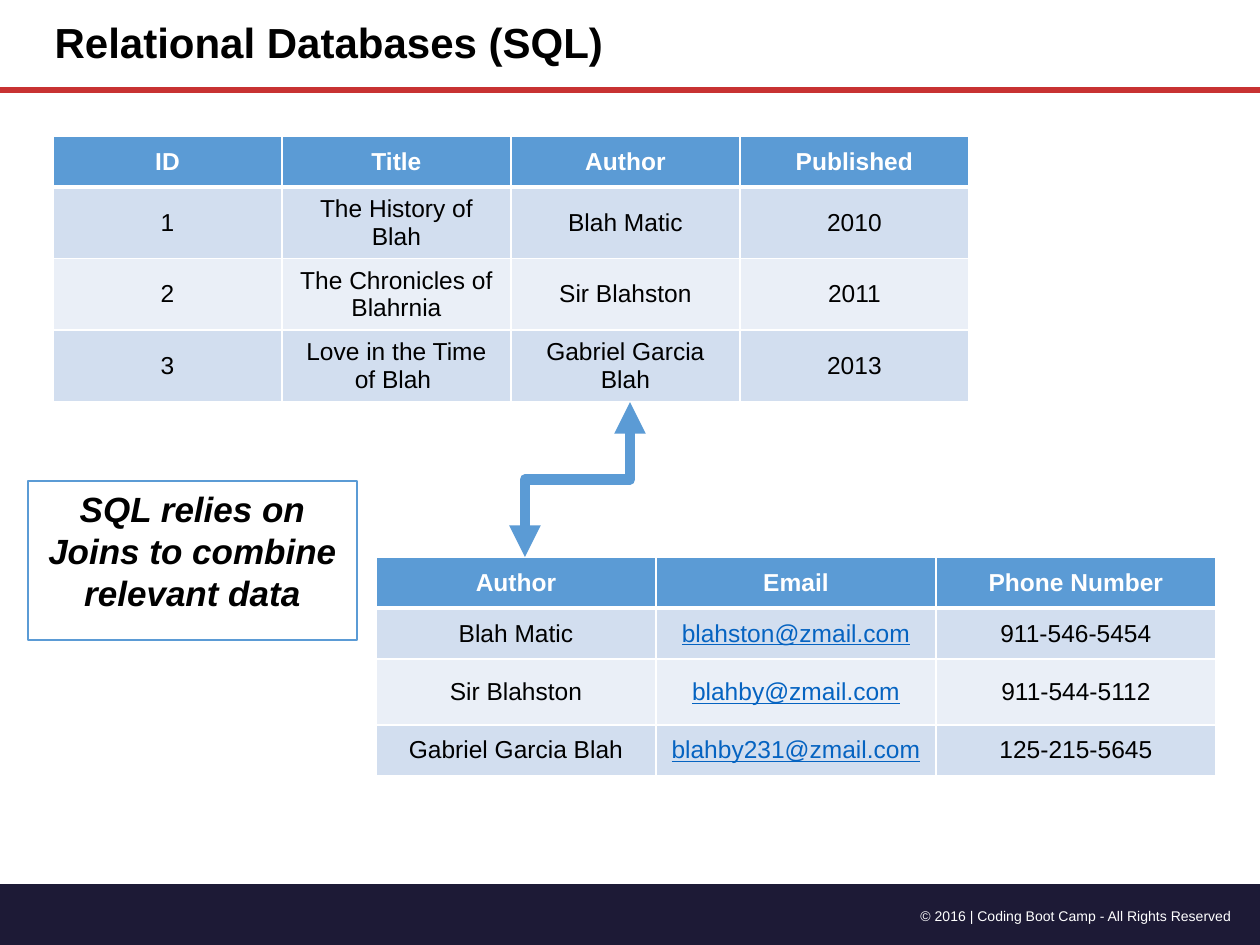
from dataclasses import dataclass

from lxml import etree
from pptx import Presentation
from pptx.dml.color import RGBColor
from pptx.enum.shapes import MSO_CONNECTOR, MSO_SHAPE
from pptx.enum.text import MSO_ANCHOR, MSO_AUTO_SIZE, PP_ALIGN
from pptx.oxml.ns import qn
from pptx.util import Emu, Pt

LEFT, CENTER, RIGHT = PP_ALIGN.LEFT, PP_ALIGN.CENTER, PP_ALIGN.RIGHT
TOP, MIDDLE = MSO_ANCHOR.TOP, MSO_ANCHOR.MIDDLE
NO_AUTOFIT = MSO_AUTO_SIZE.NONE
STRAIGHT, ELBOW = MSO_CONNECTOR.STRAIGHT, MSO_CONNECTOR.ELBOW
RECTANGLE, PROCESS = MSO_SHAPE.RECTANGLE, MSO_SHAPE.FLOWCHART_PROCESS
TITLE_ONLY = 5
PX = 914400 / 126
SLIDE_W, SLIDE_H = 1260, 945


@dataclass(frozen=True)
class Theme:
    font: str = "Arial"
    ink: str = "000000"
    paper: str = "FFFFFF"
    accent: str = "5B9BD5"
    bands: tuple = ("D2DEEF", "EAEFF7")
    link: str = "0563C1"
    rule: str = "C83232"
    footer: str = "1D1A36"
    title_size: int = 24
    callout_size: int = 20
    table_size: int = 14
    footer_size: int = 8


def px(value):
    return Emu(round(value * PX))


def box(*lengths):
    return [px(length) for length in lengths]


def rgb(color):
    return RGBColor.from_string(color)


class SlideBuilder:
    def __init__(self, slide, theme):
        self.slide = slide
        self.theme = theme

    def put_text(self, frame, text, size, color, align=CENTER, anchor=MIDDLE,
                 spacing=None, **styles):
        frame.word_wrap = True
        frame.vertical_anchor = anchor
        paragraph = frame.paragraphs[0]
        paragraph.alignment = align
        for name, value in (spacing or {}).items():
            setattr(paragraph, name, value)
        run = paragraph.add_run()
        run.text = text
        run.font.color.rgb = rgb(color)
        formats = {"name": self.theme.font, "size": Pt(size), **styles}
        for name, value in formats.items():
            setattr(run.font, name, value)

    def title(self, text, *place):
        title = self.slide.shapes.title
        for name, value in zip(("left", "top", "width", "height"), box(*place)):
            setattr(title, name, value)
        title.text_frame.auto_size = NO_AUTOFIT
        self.put_text(title.text_frame, text, self.theme.title_size, self.theme.ink,
                      align=LEFT, bold=True, spacing={"line_spacing": 0.9})

    def text(self, text, *place, **styles):
        textbox = self.slide.shapes.add_textbox(*box(*place))
        self.put_text(textbox.text_frame, text, **styles)

    def shape(self, kind, *place, fill=None, line=None):
        shape = self.slide.shapes.add_shape(kind, *box(*place))
        shape.shadow.inherit = False
        if fill:
            shape.fill.solid()
            shape.fill.fore_color.rgb = rgb(fill)
        else:
            shape.fill.background()
        if line:
            shape.line.color.rgb = rgb(line)
            shape.line.width = Pt(0.75)
        else:
            shape.line.fill.background()
        return shape

    def callout(self, text, *place):
        callout = self.shape(RECTANGLE, *place, line=self.theme.accent)
        self.put_text(callout.text_frame, text, self.theme.callout_size,
                      self.theme.ink, anchor=TOP, bold=True, italic=True,
                      spacing={"space_before": Pt(4)})

    def line(self, kind, start, end, color, width):
        line = self.slide.shapes.add_connector(kind, *box(*start, *end))
        line.line.color.rgb = rgb(color)
        line.line.width = Pt(width)
        etree.SubElement(line._element.spPr, qn("a:effectLst"))
        return line

    def vertical_elbow(self, start, end, color, width):
        (x1, y1), (x2, y2) = start, end
        middle_x, middle_y = (x1 + x2) / 2, (y1 + y2) / 2
        half_w, half_h = (y2 - y1) / 2, (x1 - x2) / 2
        elbow = self.line(ELBOW, (middle_x - half_w, middle_y - half_h),
                          (middle_x + half_w, middle_y + half_h), color, width)
        elbow._element.spPr.find(qn("a:xfrm")).set("rot", str(90 * 60000))
        outline = elbow.get_or_add_ln()
        for tip in ("a:headEnd", "a:tailEnd"):
            etree.SubElement(outline, qn(tip), type="triangle")

    def border(self, cell, top, bottom):
        properties = cell._tc.get_or_add_tcPr()
        widths = {"a:lnL": 1, "a:lnR": 1, "a:lnT": top, "a:lnB": bottom}
        for side, width in widths.items():
            edge = etree.SubElement(properties, qn(side), w=str(int(Pt(width))))
            fill = etree.SubElement(edge, qn("a:solidFill"))
            etree.SubElement(fill, qn("a:srgbClr"), val=self.theme.paper)

    def table(self, records, left, top, column_width, row_heights, height):
        theme = self.theme
        columns = len(records[0])
        frame = self.slide.shapes.add_table(
            len(records), columns, *box(left, top, column_width * columns, height))
        for row, row_height in zip(frame.table.rows, row_heights):
            row.height = px(row_height)
        frame.height = px(height)
        for r, record in enumerate(records):
            is_header = r == 0
            fill = theme.accent if is_header else theme.bands[(r - 1) % 2]
            for c, text in enumerate(record):
                cell = frame.table.cell(r, c)
                self.border(cell, top=3 if r == 1 else 1, bottom=3 if is_header else 1)
                cell.fill.solid()
                cell.fill.fore_color.rgb = rgb(fill)
                cell.vertical_anchor = MIDDLE
                is_link = "@" in text
                color = theme.paper if is_header else theme.link if is_link else theme.ink
                self.put_text(cell.text_frame, text, theme.table_size, color,
                              bold=is_header, underline=is_link)


BOOKS = [
    ("ID", "Title", "Author", "Published"),
    ("1", "The History of Blah", "Blah Matic", "2010"),
    ("2", "The Chronicles of Blahrnia", "Sir Blahston", "2011"),
    ("3", "Love in the Time of Blah ", "Gabriel Garcia Blah", "2013"),
]
AUTHORS = [
    ("Author", "Email", "Phone Number"),
    ("Blah Matic", "blahston@zmail.com", "911-546-5454"),
    ("Sir Blahston", "blahby@zmail.com", "911-544-5112"),
    ("Gabriel Garcia Blah", "blahby231@zmail.com", "125-215-5645"),
]


def main():
    theme = Theme()
    deck = Presentation()
    deck.slide_width, deck.slide_height = box(SLIDE_W, SLIDE_H)
    slide = deck.slides.add_slide(deck.slide_layouts[TITLE_ONLY])
    builder = SlideBuilder(slide, theme)

    builder.shape(PROCESS, 0, 884, SLIDE_W, SLIDE_H - 884, fill=theme.footer)
    builder.text("© 2016 | Coding Boot Camp - All Rights Reserved", 860, 901, 384, 30,
                 size=theme.footer_size, color=theme.paper, align=RIGHT, anchor=TOP)
    builder.line(STRAIGHT, (0, 90), (SLIDE_W, 90), theme.rule, 3.25)
    builder.title("Relational Databases (SQL)", 42, 0, 754, 90)
    builder.table(BOOKS, 53, 136, 229, (51, 51, 51, 51), 266)
    builder.table(AUTHORS, 376, 557, 280, (51, 51, 66, 51), 219)
    builder.vertical_elbow((630, 402), (525, 557), theme.accent, 6)
    builder.callout("SQL relies on Joins to combine relevant data", 28, 481, 329, 159)
    deck.save("out.pptx")


if __name__ == "__main__":
    main()
